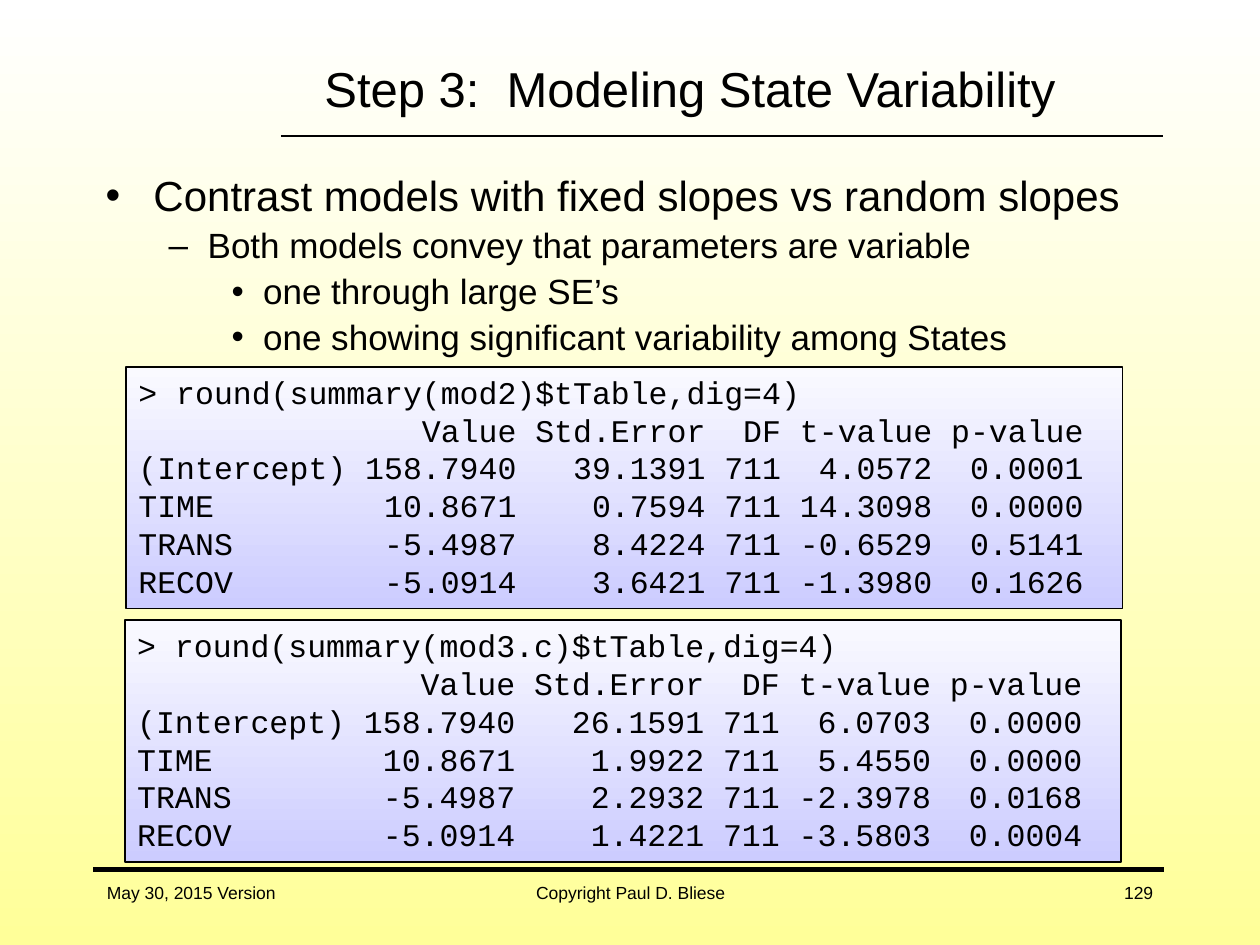
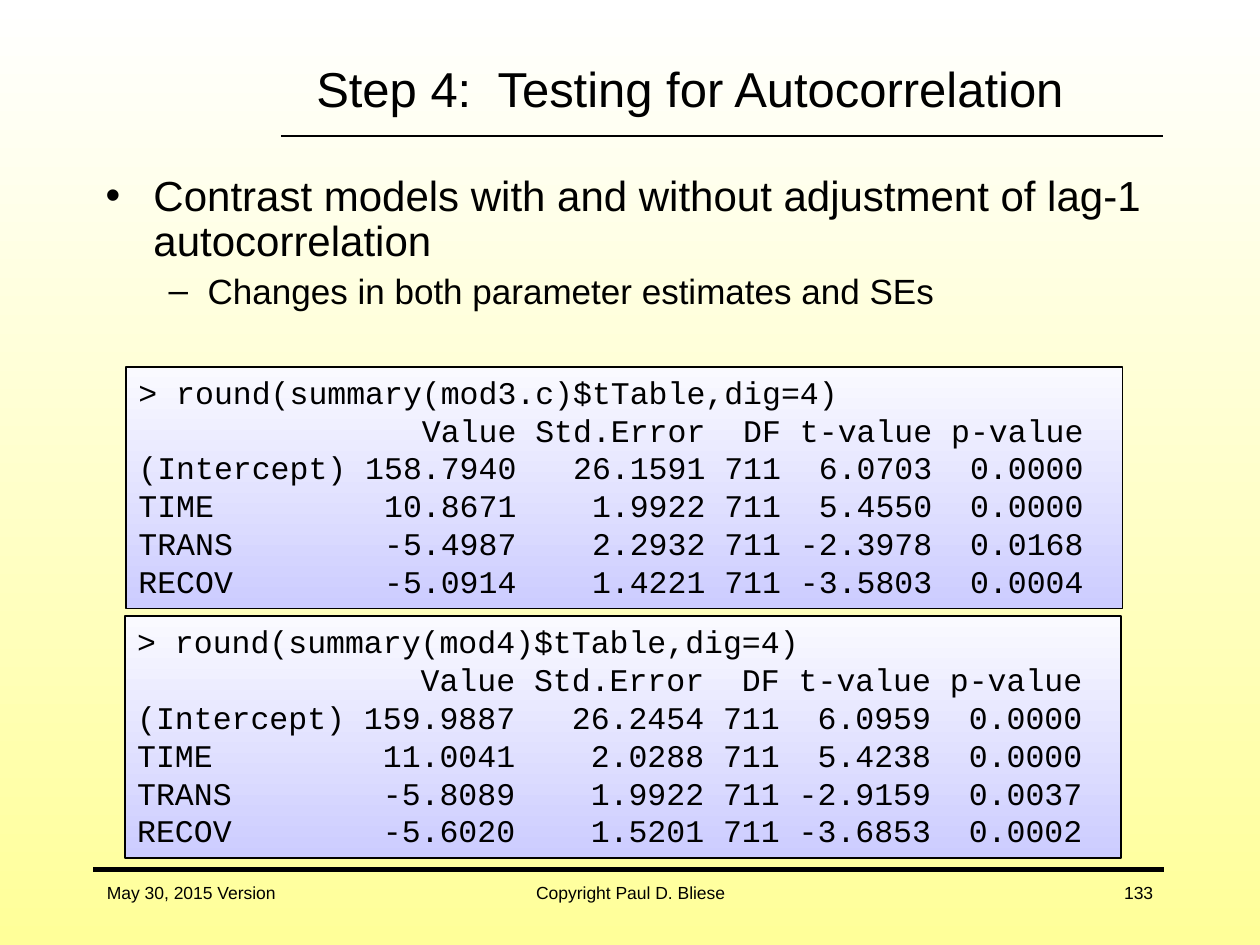
from dataclasses import dataclass

from lxml.etree import SubElement
from pptx import Presentation
from pptx.dml.color import RGBColor
from pptx.enum.shapes import MSO_CONNECTOR as Connector, MSO_SHAPE as Shape
from pptx.enum.text import MSO_ANCHOR as Anchor, PP_ALIGN as Align
from pptx.oxml.ns import qn
from pptx.util import Inches, Pt


@dataclass(frozen=True)
class Theme:
    ink: str = "000000"
    page_fill: tuple = ("FFFFFF", "FFFF99")
    output_fill: tuple = ("FAFAFF", "CCCCFF")
    text_font: str = "Arial"
    code_font: str = "Courier New"
    title_size: int = 28
    code_size: int = 18
    footer_size: int = 10
    # One entry per bullet level
    bullet_marks: tuple = ("•", "–", "•")
    bullet_sizes: tuple = (24, 20, 20)
    bullet_indents: tuple = ((0.38, -0.38), (0.81, -0.31), (1.25, -0.25))


THEME = Theme()
DATE, COPYRIGHT = "May 30, 2015 Version", "Copyright Paul D. Bliese"

# Model summaries: term, value, standard error, t and p
HEADER = ("", "Value", "Std.Error", "DF", "t-value", "p-value")
DEGREES = "711"
MODELS = {
    "mod2": [
        ("(Intercept)", "158.7940", "39.1391", "4.0572", "0.0001"),
        ("TIME", "10.8671", "0.7594", "14.3098", "0.0000"),
        ("TRANS", "-5.4987", "8.4224", "-0.6529", "0.5141"),
        ("RECOV", "-5.0914", "3.6421", "-1.3980", "0.1626"),
    ],
    "mod3.c": [
        ("(Intercept)", "158.7940", "26.1591", "6.0703", "0.0000"),
        ("TIME", "10.8671", "1.9922", "5.4550", "0.0000"),
        ("TRANS", "-5.4987", "2.2932", "-2.3978", "0.0168"),
        ("RECOV", "-5.0914", "1.4221", "-3.5803", "0.0004"),
    ],
    "mod4": [
        ("(Intercept)", "159.9887", "26.2454", "6.0959", "0.0000"),
        ("TIME", "11.0041", "2.0288", "5.4238", "0.0000"),
        ("TRANS", "-5.8089", "1.9922", "-2.9159", "0.0037"),
        ("RECOV", "-5.6020", "1.5201", "-3.6853", "0.0002"),
    ],
}

SLIDES = [
    dict(
        title="Step 3:  Modeling State Variability",
        number=129,
        bullets=[
            (0, "Contrast models with fixed slopes vs random slopes"),
            (1, "Both models convey that parameters are variable"),
            (2, "one through large SE’s"),
            (2, "one showing significant variability among States"),
        ],
        outputs=[("mod2", 1, 2.91), ("mod3.c", 0.99, 4.92)],
    ),
    dict(
        title="Step 4:  Testing for Autocorrelation",
        number=133,
        bullets=[
            (0, "Contrast models with and without adjustment of lag-1 autocorrelation"),
            (1, "Changes in both parameter estimates and SEs"),
        ],
        outputs=[("mod3.c", 1, 2.91), ("mod4", 0.99, 4.89)],
    ),
]


def color(code):
    return RGBColor.from_string(code)


def fill_downward(fill, colors):
    fill.gradient()
    fill.gradient_angle = 270
    for stop, code in zip(fill.gradient_stops, colors):
        stop.color.rgb = color(code)


def write(para, text, *, size, font=THEME.text_font, align=Align.LEFT):
    para.alignment = align
    span = para.add_run()
    span.text = text
    span.font.name = font
    span.font.size = Pt(size)
    span.font.color.rgb = color(THEME.ink)


def paragraphs(frame, count):
    """Return the frame's first paragraph followed by new ones."""
    return [frame.paragraphs[0]] + [frame.add_paragraph() for _ in range(count - 1)]


def add_text_box(page, left, top, width, height, anchor=Anchor.MIDDLE):
    box = page.shapes.add_textbox(*map(Inches, (left, top, width, height)))
    box.text_frame.word_wrap = True
    box.text_frame.vertical_anchor = anchor
    return box.text_frame


def add_rule(page, left, right, y, weight):
    rule = page.shapes.add_connector(
        Connector.STRAIGHT, Inches(left), Inches(y), Inches(right), Inches(y))
    rule.line.color.rgb = color(THEME.ink)
    rule.line.width = Pt(weight)
    SubElement(rule._element.spPr, qn("a:effectLst"))


def add_frame(page, title, number):
    """Background, rules, footer and title."""
    fill_downward(page.background.fill, THEME.page_fill)
    add_rule(page, 2.23, 9.23, 1.08, 1)
    add_rule(page, 0.74, 9.24, 6.9, 2.75)
    footers = [
        (DATE, 0.75, 2.08, Align.LEFT),
        (COPYRIGHT, 3.42, 3.17, Align.CENTER),
        (str(number), 7.17, 2.08, Align.RIGHT),
    ]
    for text, left, width, align in footers:
        frame = add_text_box(page, left, 6.83, width, 0.5)
        write(frame.paragraphs[0], text, size=THEME.footer_size, align=align)
    frame = add_text_box(page, 1.89, 0.28, 7.17, 0.83)
    write(frame.paragraphs[0], title, size=THEME.title_size, align=Align.CENTER)


def add_bullets(page, bullets):
    frame = add_text_box(page, 0.74, 1.34, 8.5, 5.28, anchor=Anchor.TOP)
    for index, (para, (level, text)) in enumerate(
            zip(paragraphs(frame, len(bullets)), bullets)):
        size = THEME.bullet_sizes[level]
        para.level = level
        para.line_spacing = 0.9
        para.space_before = Pt(0.23 * size if index else 0)
        margin, indent = THEME.bullet_indents[level]
        properties = para._p.get_or_add_pPr()
        properties.set("marL", str(Inches(margin)))
        properties.set("indent", str(Inches(indent)))
        SubElement(properties, qn("a:buFont"), typeface=THEME.text_font)
        SubElement(properties, qn("a:buChar"), char=THEME.bullet_marks[level])
        write(para, text, size=size)


def console_row(term, value, error, degrees, t, p):
    return f"{term:<11} {value:>8} {error:>9} {degrees:>3} {t:>7} {p:>7}"


def add_output(page, model, left, top):
    """Console panel with one model's coefficient summary."""
    panel = page.shapes.add_shape(
        Shape.RECTANGLE, *map(Inches, (left, top, 7.91, 1.92)))
    panel.shadow.inherit = False
    fill_downward(panel.fill, THEME.output_fill)
    panel.line.color.rgb = color(THEME.ink)
    panel.line.width = Pt(1)
    frame = panel.text_frame
    frame.word_wrap = True
    frame.vertical_anchor = Anchor.TOP
    lines = [f"> round(summary({model})$tTable,dig=4)", console_row(*HEADER)]
    lines += [console_row(term, value, error, DEGREES, t, p)
              for term, value, error, t, p in MODELS[model]]
    for para, line in zip(paragraphs(frame, len(lines)), lines):
        write(para, line, size=THEME.code_size, font=THEME.code_font)


def main():
    deck = Presentation()
    deck.slide_width, deck.slide_height = Inches(10), Inches(7.5)
    for content in SLIDES:
        page = deck.slides.add_slide(deck.slide_layouts[6])
        add_frame(page, content["title"], content["number"])
        add_bullets(page, content["bullets"])
        for model, left, top in content["outputs"]:
            add_output(page, model, left, top)
    deck.save("out.pptx")


if __name__ == "__main__":
    main()
